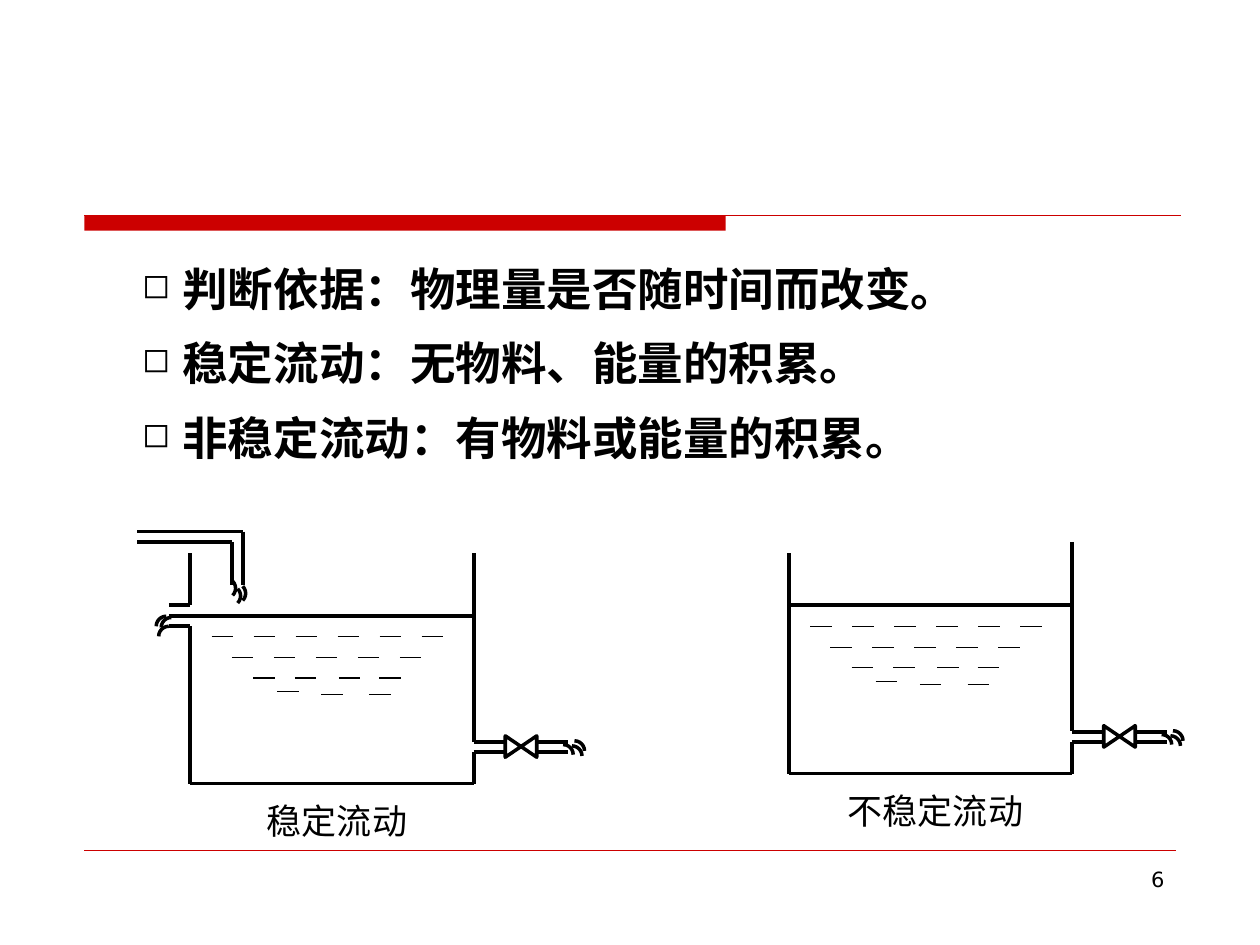
from dataclasses import dataclass
from typing import NamedTuple

from lxml import etree
from pptx import Presentation
from pptx import util as u
from pptx.dml.color import RGBColor
from pptx.enum import shapes, text
from pptx.oxml.ns import qn


@dataclass(frozen=True)
class Theme:
    ink: RGBColor = RGBColor(0, 0, 0)
    accent: RGBColor = RGBColor(0xCC, 0, 0)
    paper: RGBColor = RGBColor(0xFF, 0xFF, 0xFF)
    body_font: str = "Arial"
    label_font: str = "DejaVu Sans"
    body_size: int = 26
    label_size: int = 20
    number_size: int = 12
    wall: float = 2
    ripple: float = 0.75
    hairline: float = 0.25


class Line(NamedTuple):
    x1: float
    y1: float
    x2: float
    y2: float


class Drip(NamedTuple):
    x: float
    y: float
    turn: int


class Box(NamedTuple):
    x: float
    y: float
    w: float
    h: float


@dataclass(frozen=True)
class Tank:
    x: float  # left wall
    floor: float
    label: str
    label_box: Box
    walls: tuple[Line, ...]  # the parts that differ between tanks
    drips: tuple[Drip, ...] = ()


T = Theme()
TANK_W = 2.25
RADIUS = 0.08
DASH, STEP = 0.17, 1 / 3

# Water dashes: height above the floor, starts measured from the left wall
RIPPLES = (
    (1.17, [0.17 + i * STEP for i in range(6)]),
    (1.00, [0.33 + i * STEP for i in range(5)]),
    (0.84, [0.50, 0.83, 1.18, 1.50]),
    (0.73, [0.69]),
    (0.71, [1.04, 1.42]),
)

TANKS = (
    Tank(1.51, 6.22, "稳定流动", Box(1.84, 6.3, 1.67, 0.44),
         walls=(
             Line(1.51, 4.97, 1.51, 6.22), Line(1.51, 4.39, 1.51, 4.8),
             Line(3.76, 4.39, 3.76, 5.89), Line(1.34, 4.89, 3.76, 4.89),
             # overflow
             Line(1.34, 4.8, 1.51, 4.8), Line(1.34, 4.97, 1.51, 4.97),
             # inlet pipe
             Line(1.09, 4.3, 1.84, 4.3), Line(1.84, 4.3, 1.84, 4.64),
             Line(1.09, 4.22, 1.93, 4.22), Line(1.93, 4.22, 1.93, 4.64),
         ),
         drips=(
             Drip(1.32, 4.97, 270), Drip(1.34, 5.05, 270), Drip(1.36, 4.98, 270),
             Drip(1.87, 4.71, 45), Drip(1.79, 4.67, 45), Drip(1.83, 4.73, 45),
         )),
    Tank(6.26, 6.14, "不稳定流动", Box(6.51, 6.22, 1.83, 0.44),
         walls=(
             Line(6.26, 4.39, 6.26, 6.14), Line(8.51, 4.3, 8.51, 5.8),
             Line(6.26, 4.8, 8.51, 4.8),
         )),
)

POINTS = (
    "判断依据：物理量是否随时间而改变。",
    "稳定流动：无物料、能量的积累。",
    "非稳定流动：有物料或能量的积累。",
)


def draw_line(parent, ln: Line, width: float, color: RGBColor = T.ink) -> None:
    c = parent.add_connector(shapes.MSO_CONNECTOR.STRAIGHT, *map(u.Inches, ln))
    c.line.color.rgb = color
    c.line.width = u.Pt(width)
    etree.SubElement(c._element.spPr, qn("a:effectLst"))


def draw_outline(parent, kind, box: Box, turn: int) -> None:
    sp = parent.add_shape(kind, *map(u.Inches, box))
    sp.shadow.inherit = False
    sp.fill.background()
    sp.line.color.rgb = T.ink
    sp.line.width = u.Pt(T.wall)
    sp.rotation = turn


def draw_drip(parent, d: Drip) -> None:
    """A quarter arc around (x, y)."""
    box = Box(d.x - RADIUS, d.y - RADIUS, 2 * RADIUS, 2 * RADIUS)
    draw_outline(parent, shapes.MSO_SHAPE.ARC, box, d.turn)


def add_run(p, words: str, font: str, size: float, bold: bool = False) -> None:
    r = p.add_run()
    r.text = words
    r.font.name, r.font.size, r.font.bold = font, u.Pt(size), bold
    r.font.color.rgb = T.ink


def draw_text(parent, box: Box, words: str, size: float, align) -> None:
    tf = parent.add_textbox(*map(u.Inches, box)).text_frame
    tf.word_wrap = True
    p = tf.paragraphs[0]
    p.alignment = align
    add_run(p, words, T.label_font, size)


def draw_outlet(parent, x: float, floor: float) -> None:
    """Valve with its pipe stubs and the water leaving it."""
    for y in (floor - 0.33, floor - 0.25):
        for start in (x, x + 0.5):
            draw_line(parent, Line(start, y, start + 0.25, y), T.wall)
    draw_outline(parent, shapes.MSO_SHAPE.FLOWCHART_COLLATE,
                 Box(x + 0.29, floor - 0.42, 0.17, 0.25), 90)
    for dx, up in ((0.8, 0.26), (0.71, 0.23), (0.78, 0.22)):
        draw_drip(parent, Drip(x + dx, floor - up, 0))


def draw_tank(s, tank: Tank) -> None:
    parent = s.shapes.add_group_shape().shapes
    right = tank.x + TANK_W
    base = (Line(tank.x, tank.floor, right, tank.floor),
            Line(right, tank.floor, right, tank.floor - 0.25))
    for ln in tank.walls + base:
        draw_line(parent, ln, T.wall)
    draw_outlet(parent, right, tank.floor)
    for d in tank.drips:
        draw_drip(parent, d)
    for up, starts in RIPPLES:
        y = tank.floor - up
        for dx in starts:
            draw_line(parent, Line(tank.x + dx, y, tank.x + dx + DASH, y), T.ripple)
    draw_text(parent, tank.label_box, tank.label, T.label_size, text.PP_ALIGN.CENTER)


def draw_points(s, box: Box) -> None:
    sp = s.shapes.add_textbox(*map(u.Inches, box))
    sp.fill.solid()
    sp.fill.fore_color.rgb = T.paper
    tf = sp.text_frame
    tf.word_wrap = True
    for i, words in enumerate(POINTS):
        p = tf.paragraphs[0] if i == 0 else tf.add_paragraph()
        pPr = p._p.get_or_add_pPr()
        pPr.set("marL", str(u.Inches(0.32)))
        pPr.set("indent", str(u.Inches(-0.32)))
        etree.SubElement(pPr, qn("a:buSzPct"), val="75000")
        etree.SubElement(pPr, qn("a:buChar"), char="◻")
        if i:
            p.space_before = u.Pt(11.4)
        add_run(p, words, T.body_font, T.body_size, bold=True)


def main() -> None:
    prs = Presentation()
    prs.slide_width, prs.slide_height = u.Inches(10), u.Inches(7.5)
    s = prs.slides.add_slide(prs.slide_layouts[6])

    # Header bar and footer rule
    bar = s.shapes.add_shape(shapes.MSO_SHAPE.RECTANGLE,
                             *map(u.Inches, Box(0.67, 1.71, 5.09, 0.12)))
    bar.shadow.inherit = False
    bar.fill.solid()
    bar.fill.fore_color.rgb = T.accent
    bar.line.fill.background()
    draw_line(s.shapes, Line(0.67, 1.71, 9.37, 1.71), T.ripple, T.accent)
    draw_line(s.shapes, Line(0.67, 6.75, 9.33, 6.75), T.hairline, T.accent)

    # Tanks, statements and page number
    for tank in TANKS:
        draw_tank(s, tank)
    draw_points(s, Box(1.03, 2.02, 6.68, 1.72))
    draw_text(s.shapes, Box(7.17, 6.83, 2.17, 0.52), "6", T.number_size,
              text.PP_ALIGN.RIGHT)
    prs.save("out.pptx")


if __name__ == "__main__":
    main()
